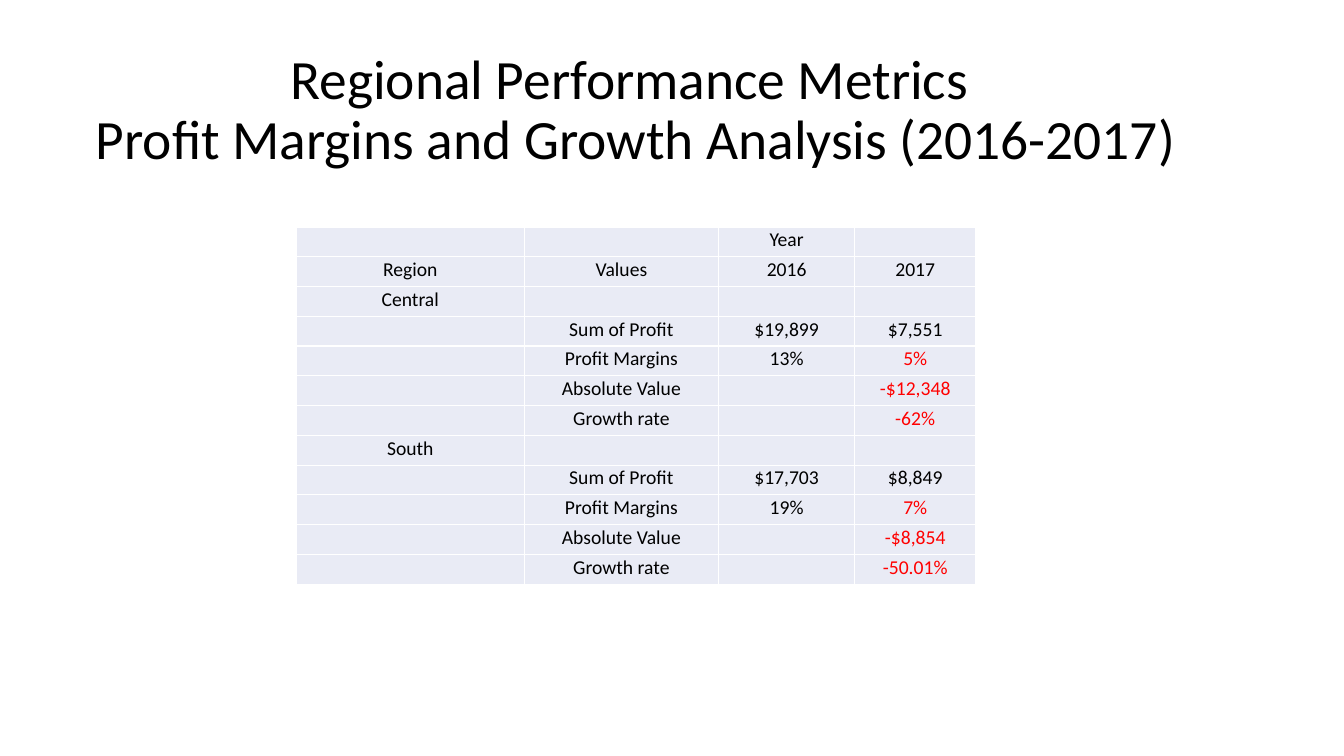
import pptx
import pptx.dml.color
import pptx.enum.text
import pptx.util

Cm = pptx.util.Cm
Pt = pptx.util.Pt
RGBColor = pptx.dml.color.RGBColor

BLACK = RGBColor(0x00, 0x00, 0x00)
RED = RGBColor(0xFF, 0x00, 0x00)
PALE = RGBColor(0xE9, 0xEB, 0xF5)
FONT = "Calibri"
CENTER = pptx.enum.text.PP_ALIGN.CENTER

TITLE = "Regional Performance Metrics \vProfit Margins and Growth Analysis (2016-2017)"
HEADS = [["", "", "Year", ""], ["Region", "Values", "2016", "2017"]]
LABELS = ["Sum of Profit", "Profit Margins", "Absolute Value", "Growth rate"]
DROPS = LABELS[1:]
REGIONS = {
    "Central": [("$19,899", "$7,551"), ("13%", "5%"), ("", "-$12,348"), ("", "-62%")],
    "South": [("$17,703", "$8,849"), ("19%", "7%"), ("", "-$8,854"), ("", "-50.01%")],
}
WIDTHS = [5.74, 4.9, 3.43, 3.05]
HEIGHT = 0.75


def style(para, size, color):
    para.alignment = CENTER
    para.font.name = FONT
    para.font.size = Pt(size)
    para.font.bold = False
    para.font.color.rgb = color


def add_title(slide):
    title = slide.shapes.title
    title.left, title.top = Cm(1.42), Cm(0.97)
    title.width, title.height = Cm(29.21), Cm(3.68)
    frame = title.text_frame
    frame.auto_size = pptx.enum.text.MSO_AUTO_SIZE.NONE
    frame.word_wrap = True
    frame.vertical_anchor = pptx.enum.text.MSO_ANCHOR.MIDDLE
    para = frame.paragraphs[0]
    para.text = TITLE
    para.line_spacing = 0.9
    style(para, 39.6, BLACK)


def list_rows():
    rows = list(HEADS)
    for region, values in REGIONS.items():
        rows.append([region, "", "", ""])
        rows += [["", label, *pair] for label, pair in zip(LABELS, values)]
    return rows


def fill_cell(cell, text, color):
    cell.fill.solid()
    cell.fill.fore_color.rgb = PALE
    cell.margin_left = cell.margin_right = cell.margin_top = Cm(0.03)
    cell.margin_bottom = 0
    para = cell.text_frame.paragraphs[0]
    if text:
        para.text = text
    style(para, 14, color)


def add_grid(slide):
    rows = list_rows()
    frame = slide.shapes.add_table(
        len(rows), len(WIDTHS), Cm(7.47), Cm(5.72),
        Cm(sum(WIDTHS)), Cm(HEIGHT * len(rows)))
    table = frame.table
    table.first_row = table.horz_banding = False
    for column, width in zip(table.columns, WIDTHS):
        column.width = Cm(width)
    for line, texts in zip(table.rows, rows):
        line.height = Cm(HEIGHT)
        for col, text in enumerate(texts):
            drop = col == 3 and texts[1] in DROPS
            fill_cell(line.cells[col], text, RED if drop else BLACK)


def main():
    deck = pptx.Presentation()
    deck.slide_width, deck.slide_height = Cm(33.87), Cm(19.05)
    slide = deck.slides.add_slide(deck.slide_layouts[5])
    add_title(slide)
    add_grid(slide)
    deck.save("out.pptx")


if __name__ == "__main__":
    main()
